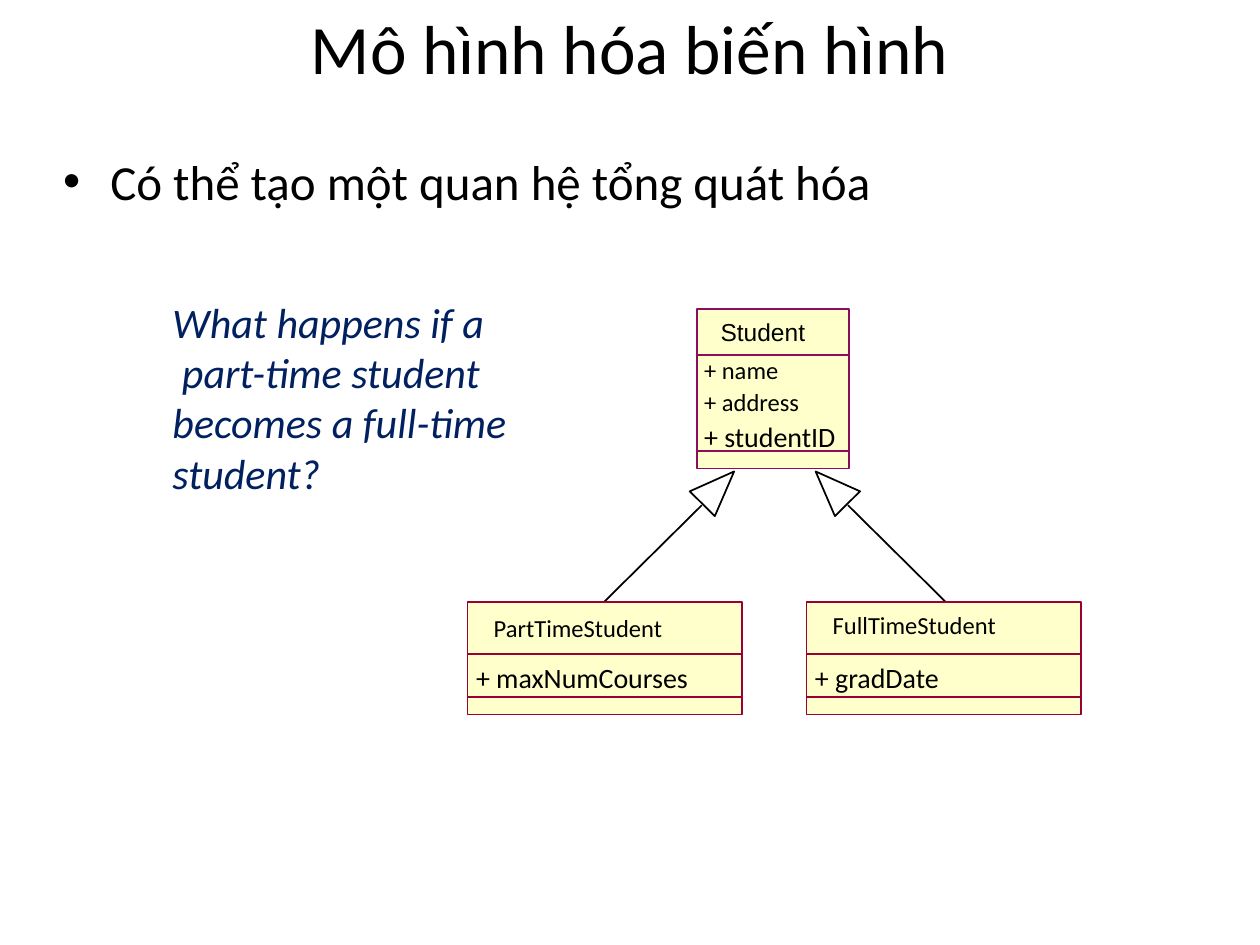
import pptx
import pptx.util
import pptx.dml.color
import pptx.enum.shapes
import pptx.enum.text
import pptx.oxml.xmlchemy
from pptx.util import Inches

COLORS = {
    "ink": "000000",
    "question": "002060",
    "class_fill": "FFFFCC",
    "parent_line": "8A0E5E",
    "child_line": "990033",
}


def rgb(name):
    return pptx.dml.color.RGBColor.from_string(COLORS[name])


def write(frame, text, size, color="ink", font="Calibri", italic=False, align=None):
    frame.text = text
    for paragraph in frame.paragraphs:
        paragraph.alignment = align
        paragraph.space_before = pptx.util.Pt(0)
        for run in paragraph.runs:
            run.font.size = pptx.util.Pt(size)
            run.font.name = font
            run.font.italic = italic
            run.font.color.rgb = rgb(color)


def place(holder, left, top, width, height):
    holder.left, holder.top = Inches(left), Inches(top)
    holder.width, holder.height = Inches(width), Inches(height)


def add_label(slide, text, left, top, width, height, size, wrap=False, **style):
    label = slide.shapes.add_textbox(Inches(left), Inches(top), Inches(width), Inches(height))
    label.text_frame.word_wrap = wrap
    label.text_frame.auto_size = pptx.enum.text.MSO_AUTO_SIZE.SHAPE_TO_FIT_TEXT
    write(label.text_frame, text, size, **style)


def add_line(slide, start, end, color="ink"):
    line = slide.shapes.add_connector(
        pptx.enum.shapes.MSO_CONNECTOR.STRAIGHT, *map(Inches, (*start, *end)))
    line.line.color.rgb = rgb(color)
    line.line.width = pptx.util.Pt(1)
    line._element.spPr.append(pptx.oxml.xmlchemy.OxmlElement("a:effectLst"))


def add_outline(slide, kind, left, top, width, height, color="ink", fill=None):
    outline = slide.shapes.add_shape(
        kind, Inches(left), Inches(top), Inches(width), Inches(height))
    outline.shadow.inherit = False
    outline.line.color.rgb = rgb(color)
    outline.line.width = pptx.util.Pt(1)
    if fill:
        outline.fill.solid()
        outline.fill.fore_color.rgb = rgb(fill)
    else:
        outline.fill.background()
    return outline


def add_generalization(slide, child_end, parent_end, head_left, angle):
    add_line(slide, child_end, parent_end)
    head = add_outline(slide, pptx.enum.shapes.MSO_SHAPE.ISOSCELES_TRIANGLE,
                       head_left, 3.69, 0.28, 0.36)
    head.rotation = angle


def add_class(slide, left, top, width, height, color, dividers, members):
    add_outline(slide, pptx.enum.shapes.MSO_SHAPE.RECTANGLE,
                left, top, width, height, color, "class_fill")
    for offset in dividers:
        add_line(slide, (left, top + offset), (left + width, top + offset), color)
    for text, dx, dy, label_width, size, font in members:
        label_height = 0.34 if size == 14 else 0.37
        add_label(slide, text, left + dx, top + dy, label_width, label_height, size, font=font)


def add_child_class(slide, left, name, name_top, name_width, attribute, attribute_width):
    add_class(slide, left, 4.78, 2.18, 0.89, "child_line", (0.41, 0.75), [
        (name, 0.11, name_top, name_width, 14, "Calibri"),
        (attribute, -0.03, 0.41, attribute_width, 16, "Calibri"),
    ])


def main():
    deck = pptx.Presentation()
    deck.slide_width, deck.slide_height = Inches(10), Inches(7.5)
    slide = deck.slides.add_slide(deck.slide_layouts[1])

    heading = slide.shapes.title
    place(heading, 0.08, 0.08, 9.84, 0.58)
    write(heading.text_frame, "Mô hình hóa biến hình", 39.6,
          align=pptx.enum.text.PP_ALIGN.CENTER)

    statement = slide.placeholders[1]
    place(statement, 0.4, 1.15, 9.39, 3.54)
    write(statement.text_frame, "Có thể tạo một quan hệ tổng quát hóa", 28)

    question = "What happens if a\n part-time student\nbecomes a full-time\nstudent?"
    add_label(slide, question, 1.27, 2.3, 3.51, 1.72, 24, wrap=True,
              color="question", italic=True)

    add_generalization(slide, (4.62, 4.95), (5.57, 4.01), 5.56, 44.6)
    add_generalization(slide, (7.68, 4.95), (6.73, 4.01), 6.46, 315.4)

    add_class(slide, 5.53, 2.45, 1.21, 1.27, "parent_line", (0.37, 1.13), [
        ("Student", 0.09, 0.02, 0.88, 14, "Arial"),
        ("+ name", -0.04, 0.32, 0.8, 14, "Calibri"),
        ("+ address", -0.04, 0.57, 0.97, 14, "Calibri"),
        ("+ studentID", -0.04, 0.83, 1.26, 16, "Calibri"),
    ])
    add_child_class(slide, 3.71, "PartTimeStudent", 0.04, 1.56, "+ maxNumCourses", 1.91)
    add_child_class(slide, 6.4, "FullTimeStudent", 0.01, 1.51, "+ gradDate", 1.2)

    deck.save("out.pptx")


if __name__ == "__main__":
    main()
